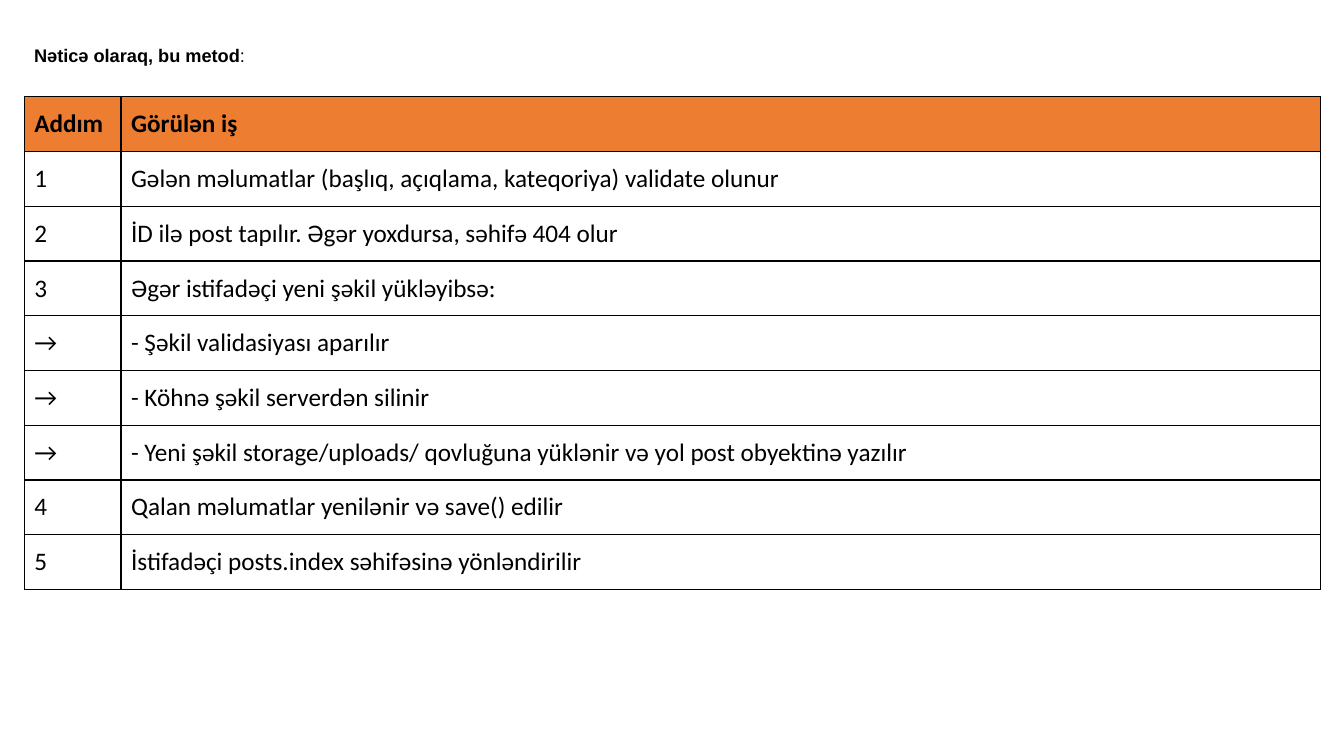
import lxml.etree
import pptx
import pptx.dml.color
import pptx.enum.text
import pptx.oxml.ns
import pptx.util
from pptx.util import Cm

HEADING = [("Nəticə olaraq, bu metod", True), (":", False)]
STEPS = [
    ("Addım", "Görülən iş"),
    ("1", "Gələn məlumatlar (başlıq, açıqlama, kateqoriya) validate olunur"),
    ("2", "İD ilə post tapılır. Əgər yoxdursa, səhifə 404 olur"),
    ("3", "Əgər istifadəçi yeni şəkil yükləyibsə:"),
    ("→", "- Şəkil validasiyası aparılır"),
    ("→", "- Köhnə şəkil serverdən silinir"),
    ("→", "- Yeni şəkil storage/uploads/ qovluğuna yüklənir və yol post obyektinə yazılır"),
    ("4", "Qalan məlumatlar yenilənir və save() edilir"),
    ("5", "İstifadəçi posts.index səhifəsinə yönləndirilir"),
]
BLACK, ORANGE = "000000", "ED7D31"
HEADING_FONT = {"name": "Arial", "size": pptx.util.Pt(13)}
TABLE_FONT = {"name": "Calibri", "size": pptx.util.Pt(18)}
LEFT, HEADING_TOP, TABLE_TOP = Cm(0.61), Cm(0.71), Cm(2.44)
COLUMN_WIDTHS = (Cm(2.44), Cm(30.22))
HEADING_HEIGHT, ROW_HEIGHT = Cm(0.99), Cm(1.38)
WIDTH = sum(COLUMN_WIDTHS)


def set_color(color_format, color):
    color_format.rgb = pptx.dml.color.RGBColor.from_string(color)


def add_run(paragraph, text, bold, font_values):
    run = paragraph.add_run()
    run.text = text
    for name, value in {**font_values, "bold": bold}.items():
        setattr(run.font, name, value)
    run.font.fill.solid()
    set_color(run.font.fill.fore_color, BLACK)


def add_borders(cell, color, width):
    properties = cell._tc.get_or_add_tcPr()
    qualified = pptx.oxml.ns.qn
    for side in "LRTB":
        line = lxml.etree.SubElement(properties, qualified(f"a:ln{side}"), w=str(width))
        fill = lxml.etree.SubElement(line, qualified("a:solidFill"))
        lxml.etree.SubElement(fill, qualified("a:srgbClr"), val=color)


def add_heading(slide):
    box = slide.shapes.add_textbox(LEFT, HEADING_TOP, WIDTH, HEADING_HEIGHT)
    box.text_frame.word_wrap = True
    paragraph = box.text_frame.paragraphs[0]
    paragraph.line_spacing = 1.5
    for text, bold in HEADING:
        add_run(paragraph, text, bold, HEADING_FONT)


def add_steps(slide):
    table = slide.shapes.add_table(
        len(STEPS), len(COLUMN_WIDTHS), LEFT, TABLE_TOP, WIDTH, ROW_HEIGHT * len(STEPS)
    ).table
    table.horz_banding = False
    for column, width in zip(table.columns, COLUMN_WIDTHS):
        column.width = width
    for row_index, step in enumerate(STEPS):
        is_header = row_index == 0
        for column_index, text in enumerate(step):
            cell = table.cell(row_index, column_index)
            cell.vertical_anchor = pptx.enum.text.MSO_ANCHOR.MIDDLE
            add_borders(cell, BLACK, pptx.util.Pt(1))
            if is_header:
                cell.fill.solid()
                set_color(cell.fill.fore_color, ORANGE)
            else:
                cell.fill.background()
            add_run(cell.text_frame.paragraphs[0], text, is_header, TABLE_FONT)


def main():
    presentation = pptx.Presentation()
    presentation.slide_width = Cm(33.87)
    presentation.slide_height = Cm(19.05)
    slide = presentation.slides.add_slide(presentation.slide_layouts[6])
    add_heading(slide)
    add_steps(slide)
    presentation.save("out.pptx")


if __name__ == "__main__":
    main()
